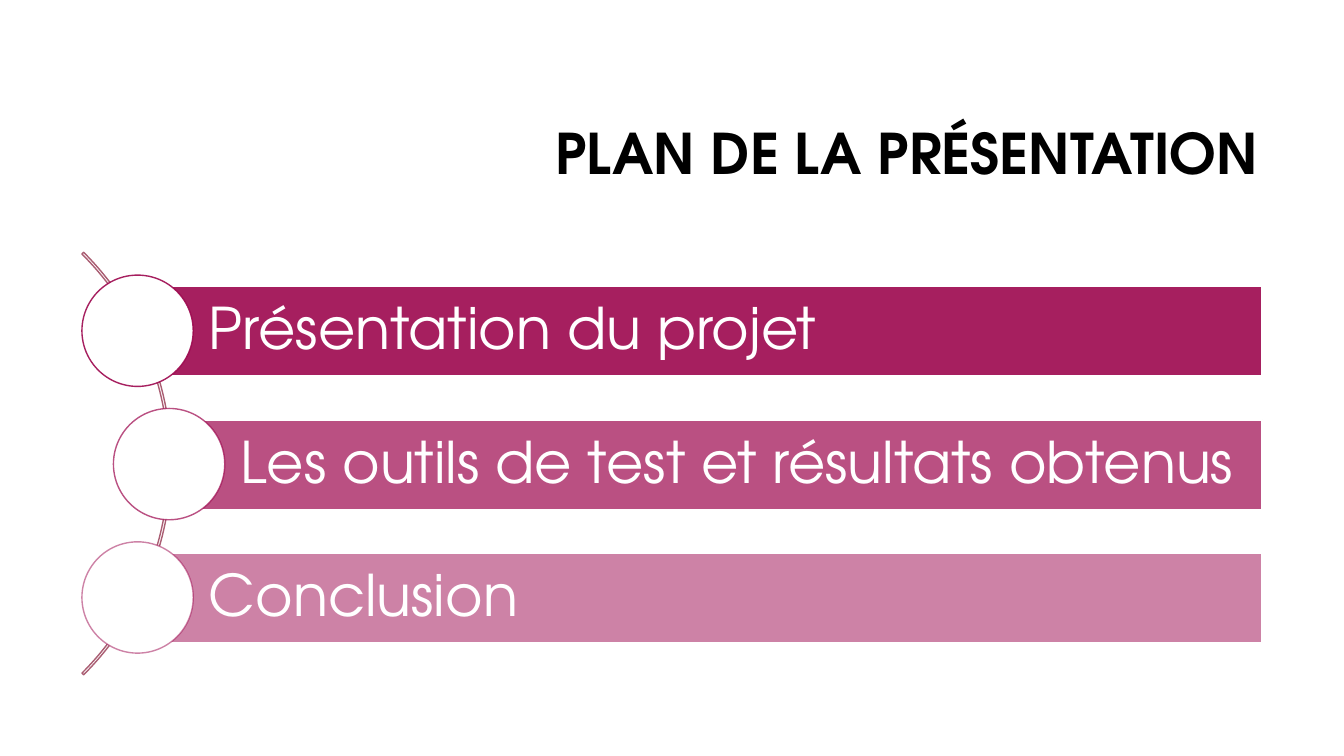
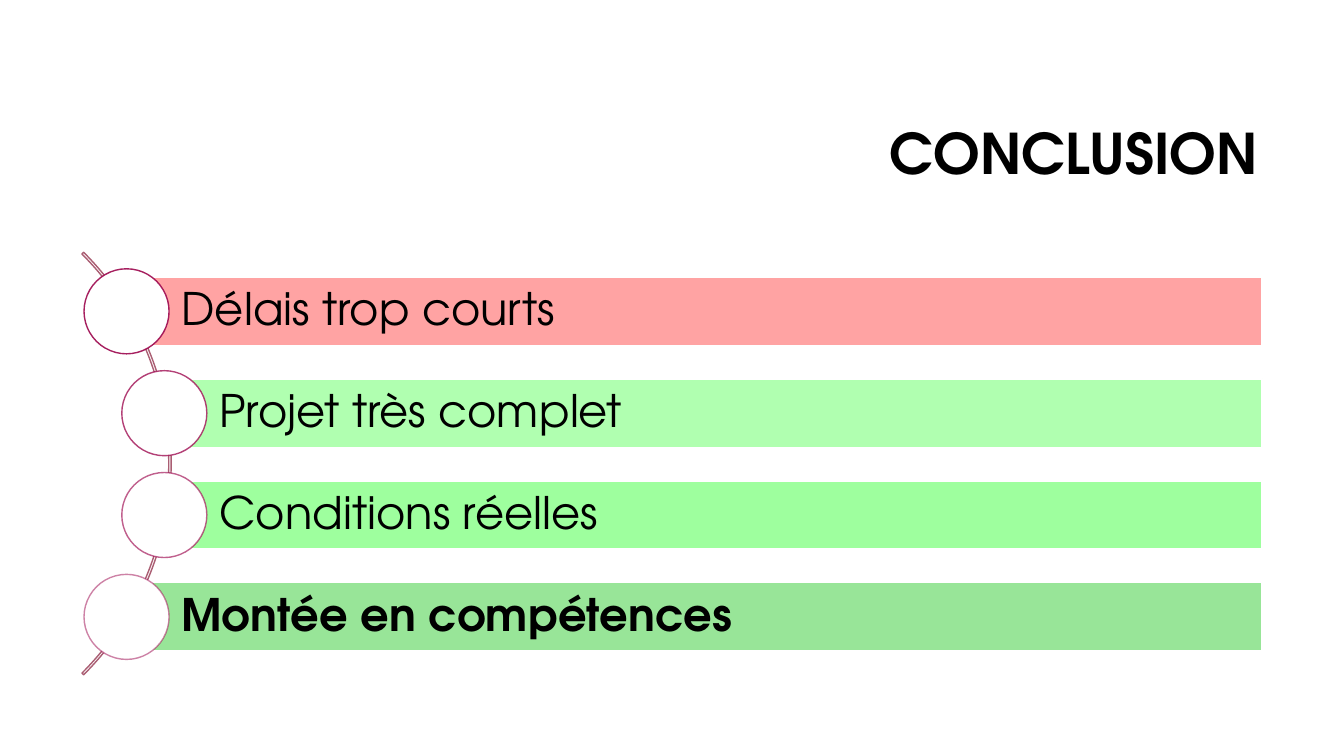
from math import sqrt

from lxml.etree import SubElement
from pptx import Presentation
from pptx.dml.color import RGBColor
from pptx.enum.shapes import MSO_SHAPE as Preset
from pptx.enum.text import MSO_ANCHOR as Anchor, PP_ALIGN as Align
from pptx.oxml.ns import qn
from pptx.util import Pt

EMU_PER_PX = 9525
SLIDE_WIDTH, SLIDE_HEIGHT = 1280, 720
FONT = "TeX Gyre Adventor"

BLACK = RGBColor(0x00, 0x00, 0x00)
WHITE = RGBColor(0xFF, 0xFF, 0xFF)
PLUM = RGBColor(0x9D, 0x07, 0x4E)
ROSE = RGBColor(0xAA, 0x5E, 0x73)
SALMON = RGBColor(0xFF, 0x99, 0x99)
PALE_GREEN = RGBColor(0x99, 0xFF, 0x99)
BRIGHT_GREEN = RGBColor(0x66, 0xFF, 0x66)
DEEP_GREEN = RGBColor(0x33, 0xCC, 0x33)

ARC_LEFT, ARC_TOP, ARC_SIZE = -406, 157, 569
ARC_CENTER_X, ARC_CENTER_Y = -121, 442
CIRCLE_ORBIT = 282
BAR_RIGHT = 1202
FIRST_OPACITY, LAST_OPACITY = 90, 50


def px(length):
    return round(length) * EMU_PER_PX


def set_opacity(shape, color_xpath, percent):
    for color in shape.element.spPr.xpath(color_xpath):
        SubElement(color, qn("a:alpha")).set("val", str(round(percent * 1000)))


class Deck:
    """Holds the shared style and the slide being built."""

    def __init__(self):
        self.presentation = Presentation()
        self.presentation.slide_width = px(SLIDE_WIDTH)
        self.presentation.slide_height = px(SLIDE_HEIGHT)
        self.slide = None

    def add_slide(self, title):
        layout = self.presentation.slide_layouts[6]
        self.slide = self.presentation.slides.add_slide(layout)
        box = self.slide.shapes.add_textbox(px(304), px(81), px(904), px(135))
        self.set_text(box.text_frame, title, 40, BLACK, True, Align.RIGHT)

    def set_text(self, text_frame, text, size, color, bold, align):
        text_frame.text = text
        text_frame.word_wrap = True
        text_frame.vertical_anchor = Anchor.MIDDLE
        paragraph = text_frame.paragraphs[0]
        paragraph.alignment = align
        paragraph.line_spacing = 0.9
        font = paragraph.runs[0].font
        font.name, font.size, font.bold = FONT, Pt(size), bold
        font.color.rgb = color

    def add_shape(self, preset, left, top, width, height, fill, line):
        shape = self.slide.shapes.add_shape(
            preset, px(left), px(top), px(width), px(height))
        shape.shadow.inherit = False
        if fill is None:
            shape.fill.background()
        else:
            shape.fill.solid()
            shape.fill.fore_color.rgb = fill
        shape.line.color.rgb = line
        shape.line.width = Pt(1)
        return shape

    def add_arc(self):
        arc = self.add_shape(Preset.BLOCK_ARC, ARC_LEFT, ARC_TOP,
                             ARC_SIZE, ARC_SIZE, None, ROSE)
        for index, value in enumerate((189, 27, 0.004)):
            arc.adjustments[index] = value

    def add_bar(self, left, center_y, height, fill, opacity):
        bar = self.add_shape(Preset.RECTANGLE, left, center_y - height / 2,
                             BAR_RIGHT - left, height, fill, WHITE)
        set_opacity(bar, "./a:solidFill/a:srgbClr", opacity)
        frame = bar.text_frame
        frame.margin_left = px(height * 0.8)
        frame.margin_right = frame.margin_top = frame.margin_bottom = px(height / 8)
        return frame

    def add_circle(self, center_x, center_y, diameter, opacity):
        circle = self.add_shape(Preset.OVAL, center_x - diameter / 2,
                                center_y - diameter / 2, diameter, diameter,
                                WHITE, PLUM)
        set_opacity(circle, "./a:ln/a:solidFill/a:srgbClr", opacity)

    def add_curved_list(self, items, pitch, size, color):
        """Place (text, fill, bold) items along the arc, one every pitch px."""
        self.add_arc()
        last = len(items) - 1
        for index, (text, fill, bold) in enumerate(items):
            offset = (index - last / 2) * pitch
            center_x = ARC_CENTER_X + sqrt(CIRCLE_ORBIT ** 2 - offset ** 2)
            center_y = ARC_CENTER_Y + offset
            opacity = FIRST_OPACITY + (LAST_OPACITY - FIRST_OPACITY) * index / last
            frame = self.add_bar(center_x, center_y, pitch * 2 / 3, fill, opacity)
            self.set_text(frame, text, size, color, bold, Align.LEFT)
            self.add_circle(center_x, center_y, pitch * 5 / 6, opacity)


def main():
    deck = Deck()

    deck.add_slide("PLAN DE LA PRÉSENTATION")
    deck.add_curved_list([
        ("Présentation du projet", PLUM, False),
        ("Les outils de test et résultats obtenus", PLUM, False),
        ("Conclusion", PLUM, False),
    ], 127, 41, WHITE)

    deck.add_slide("CONCLUSION")
    deck.add_curved_list([
        ("Délais trop courts", SALMON, False),
        ("Projet très complet", PALE_GREEN, False),
        ("Conditions réelles", BRIGHT_GREEN, False),
        ("Montée en compétences", DEEP_GREEN, True),
    ], 97, 32, BLACK)

    deck.presentation.save("out.pptx")


if __name__ == "__main__":
    main()
